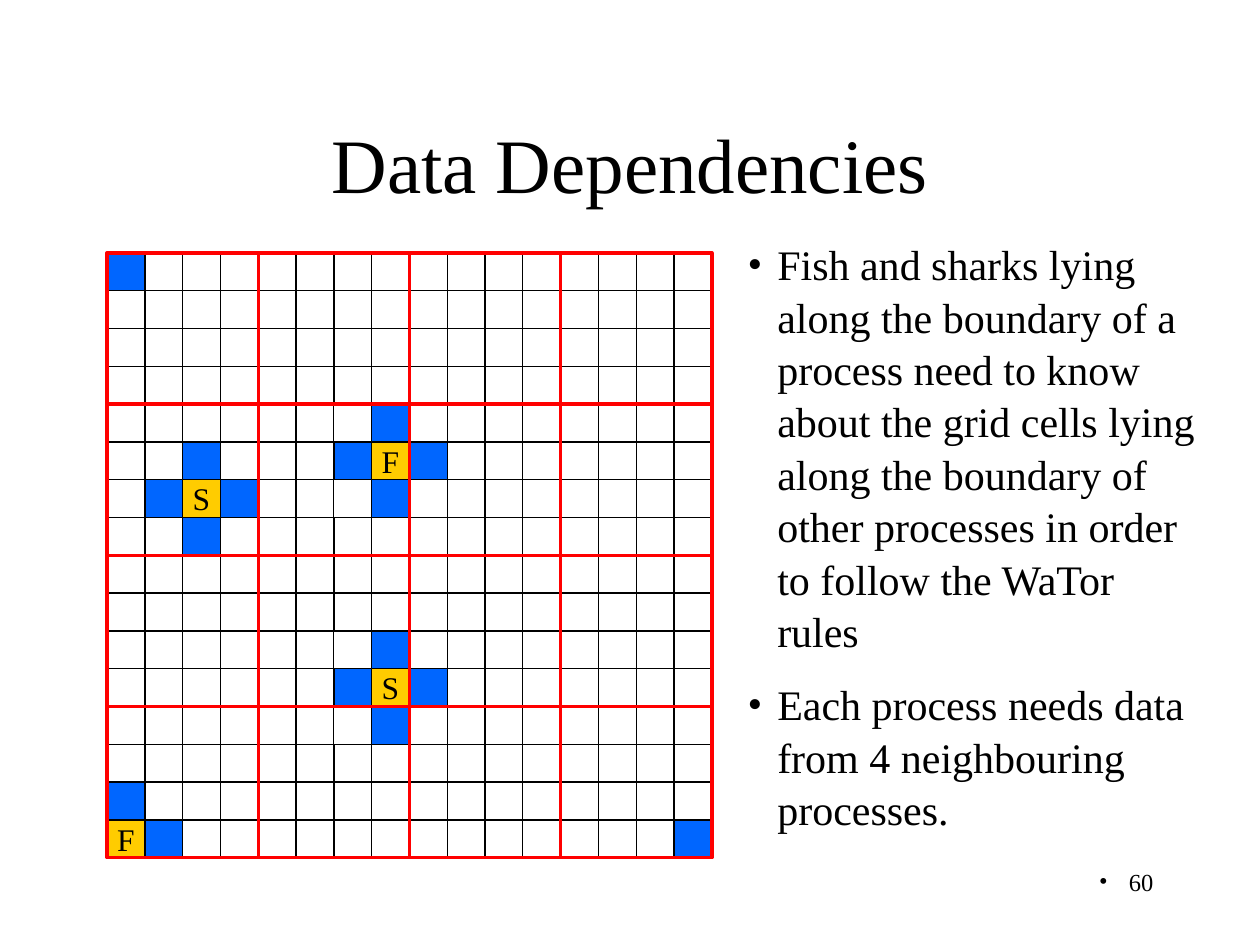
from lxml.etree import SubElement
from pptx import Presentation
from pptx.dml.color import RGBColor
from pptx.enum.shapes import MSO_CONNECTOR, MSO_SHAPE
from pptx.enum.text import MSO_ANCHOR, PP_ALIGN
from pptx.oxml.ns import qn
from pptx.util import Cm, Pt

TITLE = "Data Dependencies"
POINTS = [
    "Fish and sharks lying along the boundary of a process need to know about "
    "the grid cells lying along the boundary of other processes in order to "
    "follow the WaTor rules",
    "Each process needs data from 4 neighbouring processes.",
]
PAGE_NUMBER = "60"

# Cells are given as column, row, counted from the top left of the ocean
NEIGHBOUR_AREAS = [  # column, row, columns, rows
    (0, 14, 2, 2), (0, 0, 2, 1), (15, 14, 1, 2),
    (6, 10, 3, 3), (6, 4, 3, 3), (1, 5, 3, 3),
]
ANIMALS = [("F", 0, 15), ("S", 7, 11), ("F", 7, 5), ("S", 2, 6)]
EDGE_CORNERS = [(1, 0), (15, 14), (1, 14)]

COLORS = {"black": "000000", "white": "FFFFFF", "red": "FF0000",
          "neighbour": "0066FF", "animal": "FFCC00"}
FONT = "Times New Roman"
LEFT, TOP, SIDE = 2.16, 5.1, 12.19
CELLS, HALF, PROCESS = 16, 8, 4
CELL = SIDE / CELLS


def color(name):
    return RGBColor.from_string(COLORS[name])


def grid_x(column):
    return Cm(LEFT + column * CELL)


def grid_y(row):
    return Cm(TOP + row * CELL)


def add_area(page, column, row, columns, rows, fill=None, line=None, width=0.75):
    area = page.shapes.add_shape(MSO_SHAPE.RECTANGLE, grid_x(column), grid_y(row),
                                 Cm(columns * CELL), Cm(rows * CELL))
    area.shadow.inherit = False
    if fill:
        area.fill.solid()
        area.fill.fore_color.rgb = color(fill)
    else:
        area.fill.background()
    if line:
        area.line.color.rgb = color(line)
        area.line.width = Pt(width)
    else:
        area.line.fill.background()


def add_line(page, start, end, line, width):
    """Draw a straight line between two grid points (column, row)."""
    rule = page.shapes.add_connector(
        MSO_CONNECTOR.STRAIGHT, grid_x(start[0]), grid_y(start[1]),
        grid_x(end[0]), grid_y(end[1]))
    rule.line.color.rgb = color(line)
    rule.line.width = Pt(width)
    SubElement(rule._element.spPr, qn("a:effectLst"))


def add_inner_lines(page, column, row, size, step, line, width):
    """Divide a square of the grid by crossing lines, one every step cells."""
    for offset in range(step, size, step):
        x, y = column + offset, row + offset
        add_line(page, (x, row), (x, row + size), line, width)
        add_line(page, (column, y), (column + size, y), line, width)


def add_text(page, left, top, width, height, texts, size,
             align=PP_ALIGN.LEFT, anchor=MSO_ANCHOR.TOP, wrap=True):
    box = page.shapes.add_textbox(Cm(left), Cm(top), Cm(width), Cm(height))
    frame = box.text_frame
    frame.word_wrap = wrap
    frame.vertical_anchor = anchor
    for index, text in enumerate(texts):
        para = frame.add_paragraph() if index else frame.paragraphs[0]
        para.text = text
        para.alignment = align
        para.font.name = FONT
        para.font.size = Pt(size)
        para.font.color.rgb = color("black")
    return frame.paragraphs


def add_bullet(para, hang=0.6):
    properties = para._p.get_or_add_pPr()
    properties.set("marL", str(Cm(hang)))
    properties.set("indent", str(-Cm(hang)))
    SubElement(properties, qn("a:buFont"), typeface=FONT)
    SubElement(properties, qn("a:buChar"), char="•")


def add_ocean(page):
    for area in NEIGHBOUR_AREAS:
        add_area(page, *area, fill="neighbour")
    for _, column, row in ANIMALS:
        add_area(page, column, row, 1, 1, fill="animal")

    for column in (0, HALF):
        for row in (0, HALF):
            add_area(page, column, row, HALF, HALF, line="black", width=1.5)
            add_inner_lines(page, column, row, HALF, 1, "black", 0.75)

    for letter, column, row in ANIMALS:
        add_text(page, LEFT + column * CELL - 0.05, TOP + row * CELL - 0.13,
                 0.86, 1.02, [letter], 18, wrap=False)

    crosses = [area for area in NEIGHBOUR_AREAS if area[2:] == (3, 3)]
    corners = [(column + right, row + down) for column, row, _, _ in crosses
               for right in (0, 2) for down in (0, 2)]
    for column, row in EDGE_CORNERS + corners:
        add_area(page, column, row, 1, 1, fill="white", line="black")

    add_area(page, 0, 0, CELLS, CELLS, line="red", width=2)
    add_inner_lines(page, 0, 0, CELLS, PROCESS, "red", 2)


def main():
    deck = Presentation()
    deck.slide_width, deck.slide_height = Cm(25.4), Cm(19.05)
    page = deck.slides.add_slide(deck.slide_layouts[6])

    number = add_text(page, 18.2, 17.35, 5.3, 1.27, [PAGE_NUMBER], 14,
                      align=PP_ALIGN.RIGHT)
    add_bullet(number[0])
    add_text(page, 1.9, 1.7, 21.6, 3.18, [TITLE], 44,
             align=PP_ALIGN.CENTER, anchor=MSO_ANCHOR.MIDDLE)
    for para in add_text(page, 14.82, 4.65, 9.74, 10.9, POINTS, 24):
        para.space_before = Pt(12)
        para.line_spacing = 1.04
        add_bullet(para)
    add_ocean(page)
    deck.save("out.pptx")


if __name__ == "__main__":
    main()
